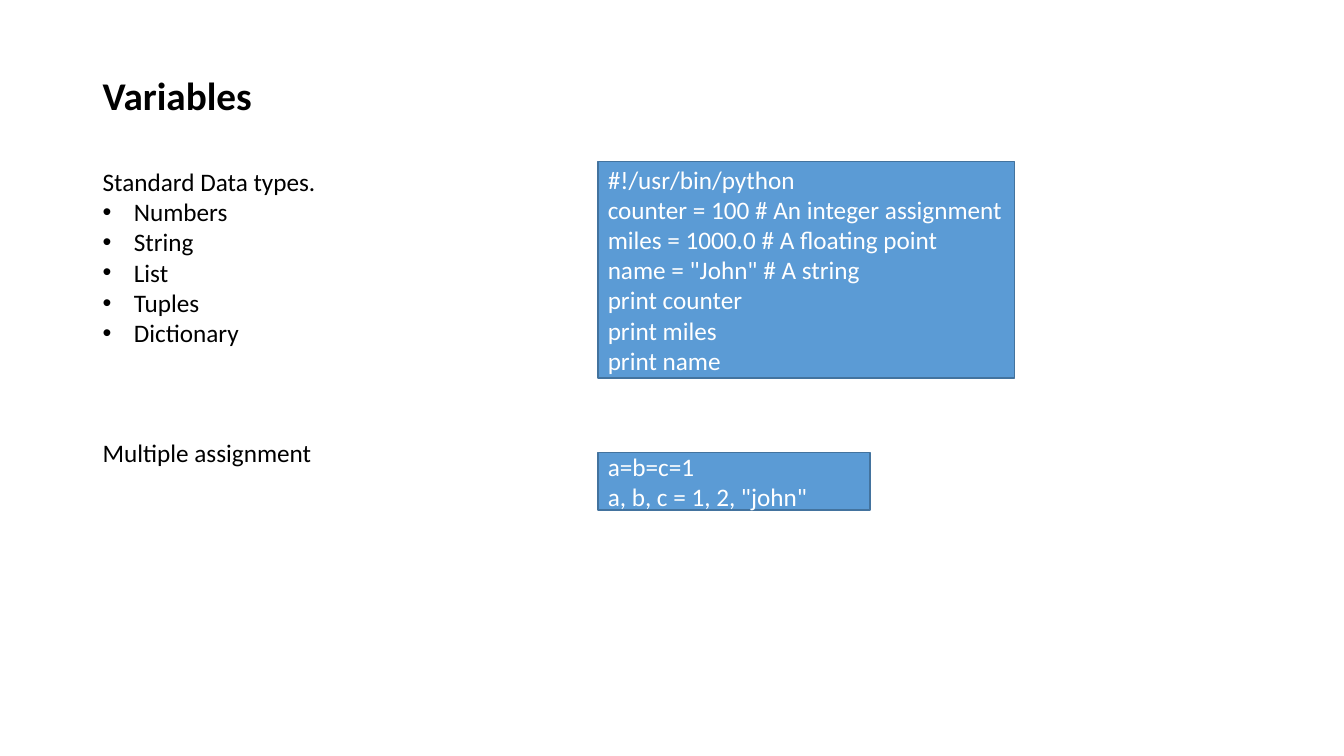
from dataclasses import dataclass

import lxml.etree
import pptx
import pptx.dml.color
import pptx.enum.shapes
import pptx.enum.text
import pptx.oxml.ns
import pptx.util

Inches = pptx.util.Inches


@dataclass(frozen=True)
class Theme:
    font: str = "Calibri"
    ink: str = "000000"
    light: str = "FFFFFF"
    fill: str = "5B9BD5"
    edge: str = "43739E"
    title: int = 28
    body: int = 18
    line: float = 1
    indent: float = 0.31


def color(code):
    return pptx.dml.color.RGBColor.from_string(code)


def bullet(para, indent):
    """Give the paragraph a round bullet with a hanging indent in inches."""
    props = para._p.get_or_add_pPr()
    props.set("marL", str(Inches(indent)))
    props.set("indent", str(Inches(-indent)))
    qn = pptx.oxml.ns.qn
    lxml.etree.SubElement(props, qn("a:buFont")).set("typeface", "Arial")
    lxml.etree.SubElement(props, qn("a:buChar")).set("char", "•")


def write(para, text, *, font, size, ink, bold=False):
    """Add a run of text to the paragraph in the given format."""
    run = para.add_run()
    run.text = text
    run.font.name = font
    run.font.size = pptx.util.Pt(size)
    run.font.bold = bold
    run.font.color.rgb = color(ink)


class Page:
    def __init__(self, slide, theme):
        self.slide = slide
        self.theme = theme

    def lines(self, frame, texts, ink, size=None, bold=False, listed=False):
        """Fill the frame; when listed, all lines after the first get bullets."""
        for i, text in enumerate(texts):
            para = frame.add_paragraph() if i else frame.paragraphs[0]
            para.alignment = pptx.enum.text.PP_ALIGN.LEFT
            if listed and i:
                bullet(para, self.theme.indent)
            write(para, text, font=self.theme.font,
                  size=size or self.theme.body, ink=ink, bold=bold)

    def label(self, box, texts, **style):
        frame = self.slide.shapes.add_textbox(*map(Inches, box)).text_frame
        frame.word_wrap = False
        frame.auto_size = pptx.enum.text.MSO_AUTO_SIZE.SHAPE_TO_FIT_TEXT
        self.lines(frame, texts, self.theme.ink, **style)

    def code(self, box, texts):
        shape = self.slide.shapes.add_shape(
            pptx.enum.shapes.MSO_SHAPE.RECTANGLE, *map(Inches, box))
        shape.shadow.inherit = False
        shape.fill.solid()
        shape.fill.fore_color.rgb = color(self.theme.fill)
        shape.line.color.rgb = color(self.theme.edge)
        shape.line.width = pptx.util.Pt(self.theme.line)
        frame = shape.text_frame
        frame.word_wrap = True
        frame.vertical_anchor = pptx.enum.text.MSO_ANCHOR.MIDDLE
        self.lines(frame, texts, self.theme.light)


def main():
    deck = pptx.Presentation()
    deck.slide_width = Inches(13.33)
    deck.slide_height = Inches(7.5)
    theme = Theme()
    page = Page(deck.slides.add_slide(deck.slide_layouts[6]), theme)
    left, right, top = 0.92, 5.93, 1.6

    page.code((right, top, 4.13, 2.15), [
        "#!/usr/bin/python",
        "counter = 100 # An integer assignment miles = 1000.0 # A floating point",
        'name = "John" # A string',
        "print counter",
        "print miles",
        "print name",
    ])
    page.label((left, top, 2.34, 2.22), [
        "Standard Data types.",
        "Numbers", "String", "List", "Tuples", "Dictionary",
    ], listed=True)
    page.label((left, 4.29, 2.3, 0.4), ["Multiple assignment"])
    page.code((right, 4.49, 2.7, 0.57), ["a=b=c=1", 'a, b, c = 1, 2, "john"'])
    page.label((left, 0.66, 1.7, 0.57), ["Variables"],
               size=theme.title, bold=True)
    deck.save("out.pptx")


if __name__ == "__main__":
    main()
